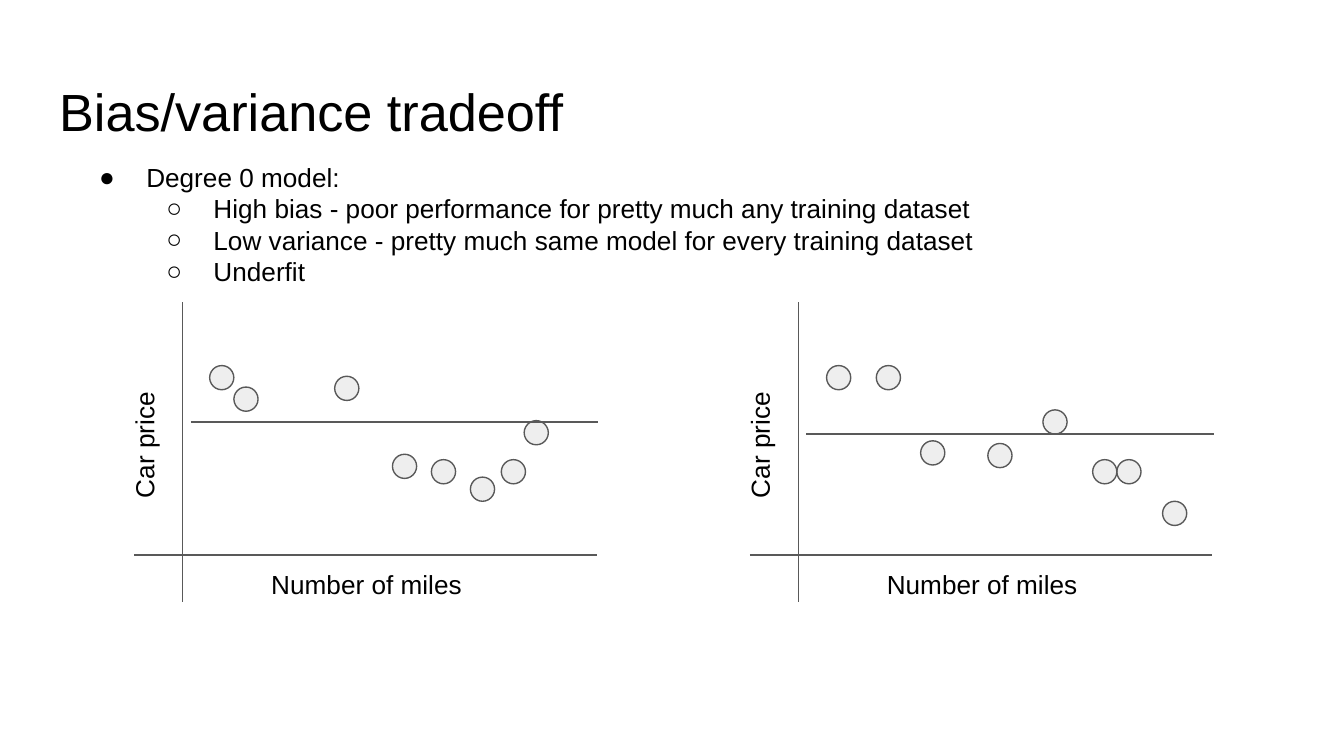
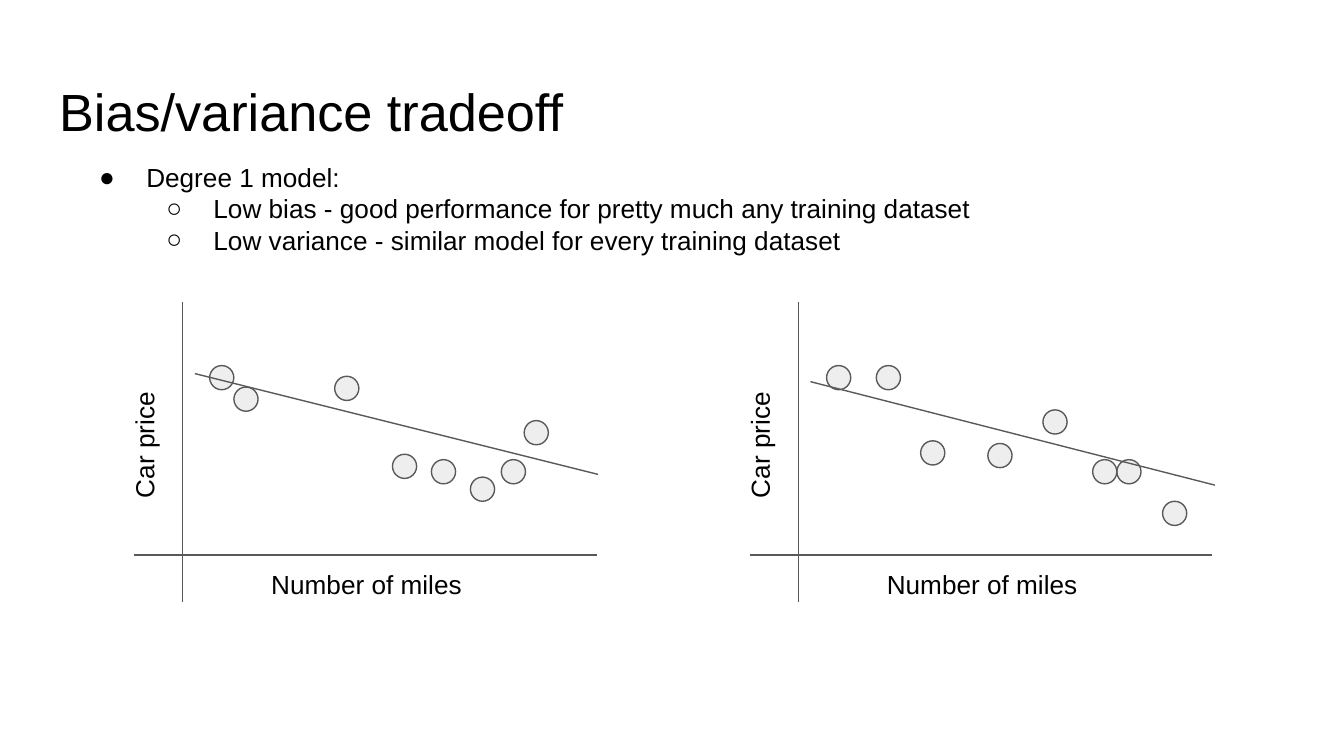
from lxml import etree
from pptx import Presentation
from pptx.dml.color import RGBColor
from pptx.enum import shapes, text
from pptx.oxml import ns
from pptx.util import Inches, Pt

FONT = "Arial"
BLACK, GREY, PALE = "000000", "595959", "EEEEEE"
DOT = 0.18
PLOT_STEP = 4.58  # distance between the two plots

# Top-left corners of the training points, one list per dataset
DATASETS = [
    [(3.73, 3.42), (3.21, 3.42), (1.56, 2.72), (3.5, 3.55),
     (2.92, 3.38), (3.9, 3.13), (2.49, 2.8), (1.74, 2.88)],
    [(8.31, 3.42), (7.76, 3.05), (6.15, 2.72), (8.13, 3.42),
     (7.35, 3.3), (8.65, 3.73), (6.85, 3.28), (6.52, 2.72)],
]

# Heading, remarks and the fitted line of each dataset
MODELS = [
    ("Degree 0 model:",
     ["High bias - poor performance for pretty much any training dataset",
      "Low variance - pretty much same model for every training dataset",
      "Underfit"],
     [(1.42, 3.14, 4.45, 3.14), (6, 3.23, 9.03, 3.23)]),
    ("Degree 1 model:",
     ["Low bias - good performance for pretty much any training dataset",
      "Low variance - similar model for every training dataset"],
     [(1.45, 2.78, 4.45, 3.53), (6.03, 2.84, 9.04, 3.61)]),
]


def write(shape, lines, size=14):
    """Fill a text shape with (text, bullet, level) lines."""
    frame = shape.text_frame
    frame.word_wrap = True
    frame.auto_size = text.MSO_AUTO_SIZE.NONE
    frame.vertical_anchor = text.MSO_ANCHOR.TOP
    frame.margin_left = frame.margin_right = Inches(0.1)
    frame.margin_top = frame.margin_bottom = Inches(0.1)
    for index, (words, bullet, level) in enumerate(lines):
        paragraph = frame.add_paragraph() if index else frame.paragraphs[0]
        paragraph.alignment = text.PP_ALIGN.LEFT
        paragraph.level = level
        run = paragraph.add_run()
        run.text = words
        run.font.name = FONT
        run.font.size = Pt(size)
        run.font.color.rgb = RGBColor.from_string(BLACK)
        if bullet:
            properties = paragraph._p.get_or_add_pPr()
            properties.set("marL", str(Inches(0.5 * (level + 1))))
            properties.set("indent", str(Inches(-0.35)))
            colour = etree.SubElement(properties, ns.qn("a:buClr"))
            etree.SubElement(colour, ns.qn("a:srgbClr"), val=BLACK)
            etree.SubElement(properties, ns.qn("a:buFont"), typeface=FONT)
            etree.SubElement(properties, ns.qn("a:buChar"), char=bullet)


def add_line(slide, *ends):
    line = slide.shapes.add_connector(
        shapes.MSO_CONNECTOR.STRAIGHT, *[Inches(end) for end in ends])
    line.line.color.rgb = RGBColor.from_string(GREY)
    line.line.width = Pt(0.75)
    etree.SubElement(line._element.spPr, ns.qn("a:effectLst"))


presentation = Presentation()
presentation.slide_width = Inches(10)
presentation.slide_height = Inches(10 * 9 / 16)
title_only = presentation.slide_layouts[5]

for heading, remarks, fits in MODELS:
    slide = presentation.slides.add_slide(title_only)
    title = slide.shapes.title
    title.left, title.top = Inches(0.34), Inches(0.49)
    title.width, title.height = Inches(9.32), Inches(0.63)
    write(title, [("Bias/variance tradeoff", None, 0)], size=28)

    for number, (points, fit) in enumerate(zip(DATASETS, fits)):
        shift = number * PLOT_STEP
        add_line(slide, 1.36 + shift, 2.25, 1.36 + shift, 4.48)
        add_line(slide, 1 + shift, 4.13, 4.44 + shift, 4.13)
        for left, top in points:
            dot = slide.shapes.add_shape(
                shapes.MSO_SHAPE.OVAL, Inches(left), Inches(top),
                Inches(DOT), Inches(DOT))
            dot.shadow.inherit = False
            dot.fill.solid()
            dot.fill.fore_color.rgb = RGBColor.from_string(PALE)
            dot.line.color.rgb = RGBColor.from_string(GREY)
            dot.line.width = Pt(0.75)
        for label, left, top, width, turn in [
                ("Number of miles", 1.92, 4.13, 1.87, 0),
                ("Car price", 0.57, 2.95, 1.14, 270)]:
            box = slide.shapes.add_textbox(
                Inches(left + shift), Inches(top), Inches(width), Inches(0.57))
            box.rotation = turn
            write(box, [(label, None, 0)])
        add_line(slide, *fit)

    summary = slide.shapes.add_textbox(
        Inches(0.49), Inches(1.1), Inches(8), Inches(0.81))
    write(summary, [(heading, "●", 0)] + [(remark, "○", 1) for remark in remarks])

presentation.save("out.pptx")
